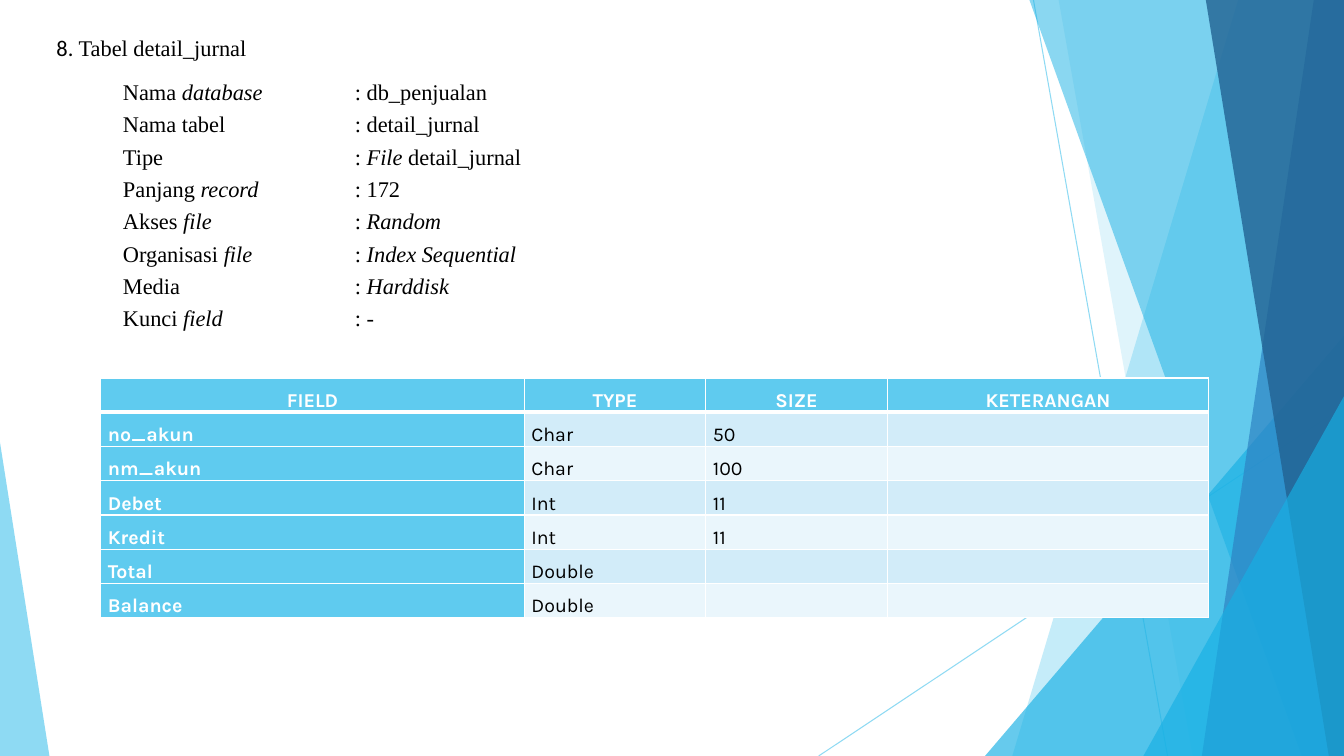
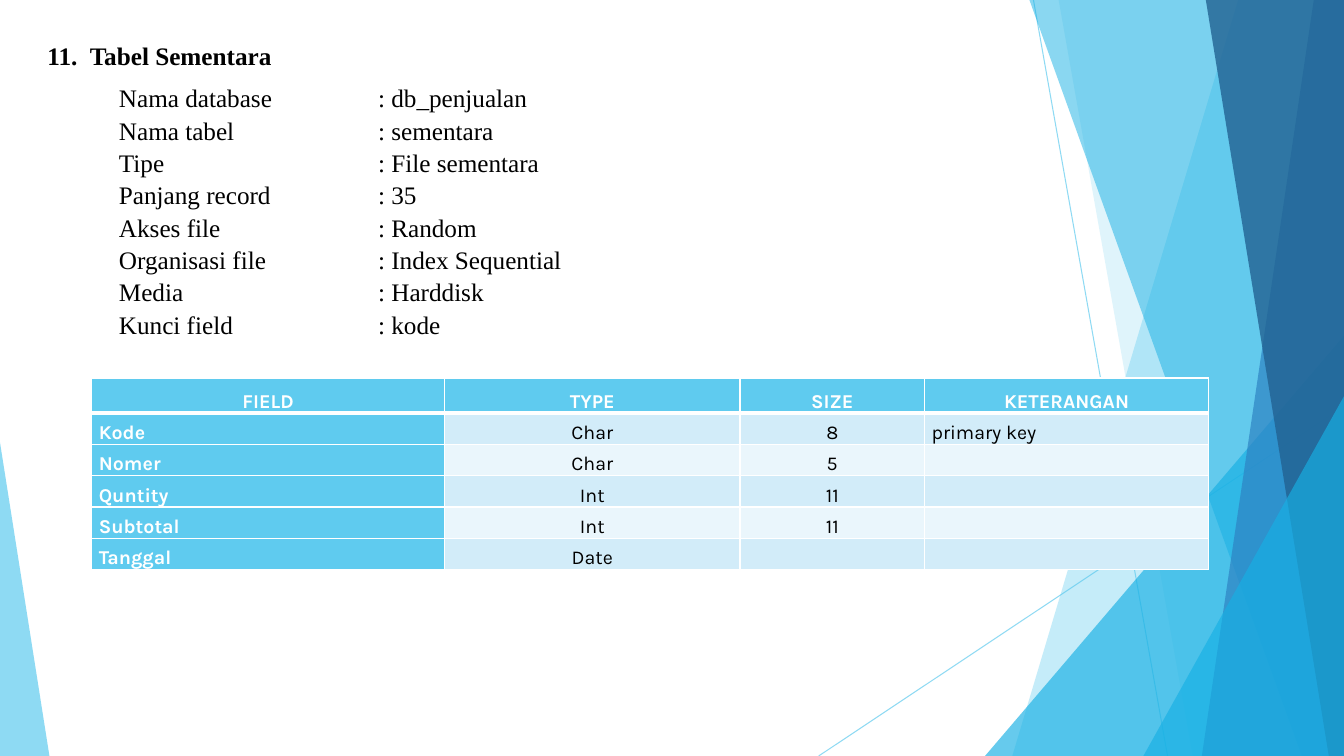
from lxml.etree import SubElement
from pptx import Presentation
from pptx.dml.color import RGBColor
from pptx.enum.shapes import MSO_CONNECTOR, MSO_SHAPE
from pptx.enum.text import MSO_ANCHOR, MSO_AUTO_SIZE, PP_ALIGN
from pptx.oxml import parse_xml
from pptx.oxml.ns import nsdecls, qn
from pptx.util import Inches, Pt

SKY = RGBColor(0x5F, 0xCB, 0xEF)
CYAN = RGBColor(0x17, 0xB0, 0xE4)
BLUE = RGBColor(0x2E, 0x83, 0xC3)
NAVY = RGBColor(0x22, 0x62, 0x92)
ODD = RGBColor(0xD2, 0xEC, 0xF9)
EVEN = RGBColor(0xEA, 0xF6, 0xFC)
WHITE = RGBColor(0xFF, 0xFF, 0xFF)
BLACK = RGBColor(0, 0, 0)
SERIF, SANS, PLAIN = "Times New Roman", "Karla", "Calibri"
WIDE, HIGH = 13.33, 7.5
HEAD = ("FIELD", "TYPE", "SIZE", "KETERANGAN")


class Deck:
    """Holds the shared style and the current slide."""

    def __init__(self):
        self.prs = Presentation()
        self.prs.slide_width = Inches(WIDE)
        self.prs.slide_height = Inches(HIGH)
        self.slide = None

    def page(self):
        self.slide = self.prs.slides.add_slide(self.prs.slide_layouts[5])

    def fade(self, shape, alpha):
        for tint in shape.element.xpath(".//a:srgbClr"):
            SubElement(tint, qn("a:alpha"), val=str(alpha * 1000))

    def paint(self, shape, color, alpha):
        shape.shadow.inherit = False
        shape.fill.solid()
        shape.fill.fore_color.rgb = color
        shape.line.fill.background()
        self.fade(shape, alpha)
        return shape

    def ray(self, x1, y1, x2, y2):
        ray = self.slide.shapes.add_connector(
            MSO_CONNECTOR.STRAIGHT, Inches(x1), Inches(y1), Inches(x2), Inches(y2))
        ray.line.color.rgb = SKY
        ray.line.width = Pt(0.75)
        self.fade(ray, 70)
        SubElement(ray.element.spPr, qn("a:effectLst"))
        return ray

    def facet(self, top, foot, color, alpha):
        pen = self.slide.shapes.build_freeform(Inches(top), 0)
        edge = ((WIDE, 0), (WIDE, HIGH), (foot, HIGH))
        pen.add_line_segments([(Inches(x), Inches(y)) for x, y in edge])
        return self.paint(pen.convert_to_shape(), color, alpha)

    def wedge(self, x, y, width, peak, color, alpha):
        wedge = self.slide.shapes.add_shape(
            MSO_SHAPE.ISOSCELES_TRIANGLE, Inches(x), Inches(y), Inches(width), Inches(HIGH - y))
        wedge.adjustments[0] = peak
        return self.paint(wedge, color, alpha)

    def decor(self):
        parts = (
            self.ray(10.25, 0, 11.58, HIGH),
            self.ray(WIDE, 4.03, 8.12, HIGH),
            self.facet(12.28, 10.04, SKY, 36),
            self.facet(10.5, 11.83, SKY, 20),
            self.wedge(9.77, 3.33, 3.56, 1, CYAN, 66),
            self.facet(10.21, 12.91, CYAN, 50),
            self.facet(13.03, 11.92, BLUE, 70),
            self.facet(11.96, 13.18, NAVY, 80),
            self.wedge(11.34, 3.93, 1.99, 1, CYAN, 66),
            self.wedge(0, 4.39, 0.49, 0, SKY, 70),
        )
        tree = self.prs.slide_master.shapes.element
        for spot, part in enumerate(parts):
            part.element.xpath(".//p:cNvPr")[0].set("id", str(100 + spot))
            tree.insert(2 + spot, part.element)

    def text(self, para, words, size, font=SERIF, color=BLACK, bold=False, slant=False):
        run = para.add_run()
        run.text = words
        run.font.size = Pt(size)
        run.font.name = font
        run.font.color.rgb = color
        run.font.bold = bold
        run.font.italic = slant

    def stop(self, para, tab):
        stops = SubElement(para._p.get_or_add_pPr(), qn("a:tabLst"))
        SubElement(stops, qn("a:tab"), pos=str(Inches(tab)), algn="l")

    def frame(self, shape, x, y, width, height):
        shape.left, shape.top = Inches(x), Inches(y)
        shape.width, shape.height = Inches(width), Inches(height)
        frame = shape.text_frame
        frame.word_wrap = True
        frame.auto_size = MSO_AUTO_SIZE.NONE
        frame.vertical_anchor = MSO_ANCHOR.TOP
        frame.margin_left = frame.margin_right = frame.margin_top = frame.margin_bottom = 0
        return frame

    def title(self, x, y, tab, size, mark, name, font=SERIF, bold=False):
        para = self.frame(self.slide.shapes.title, x, y, 6.5, 0.4).paragraphs[0]
        para.alignment = PP_ALIGN.LEFT
        para.line_spacing = 1.07
        self.stop(para, tab)
        self.text(para, mark + "\t", size, font, bold=bold)
        self.text(para, name, size, bold=bold)

    def facts(self, x, y, tab, size, lines):
        box = self.slide.shapes.add_textbox(0, 0, 0, 0)
        frame = self.frame(box, x, y, 5.8, 2.6)
        for spot, line in enumerate(lines):
            para = frame.add_paragraph() if spot else frame.paragraphs[0]
            para.line_spacing = Pt(23.1)
            self.stop(para, tab)
            for turn, words in enumerate(line):
                self.text(para, words, size, slant=turn % 2 == 1)

    def rule(self, cell, top, foot):
        sides = (("L", 1), ("R", 1), ("T", top), ("B", foot))
        for spot, (side, width) in enumerate(sides):
            cell._tc.get_or_add_tcPr().insert(spot, parse_xml(
                f'<a:ln{side} {nsdecls("a")} w="{Pt(width)}"><a:solidFill>'
                f'<a:srgbClr val="{WHITE}"/></a:solidFill></a:ln{side}>'))

    def cell(self, cell, words, row, col, mid):
        lead = row == 0 or col == 0
        cell.fill.solid()
        cell.fill.fore_color.rgb = SKY if lead else ODD if row % 2 else EVEN
        self.rule(cell, 3 if row == 1 else 1, 1 if row else 3)
        cell.margin_left = cell.margin_right = Inches(0.07)
        cell.margin_top = cell.margin_bottom = 0
        cell.vertical_anchor = MSO_ANCHOR.BOTTOM
        para = cell.text_frame.paragraphs[0]
        para.line_spacing = 1.07
        if row == 0 or mid and col in (1, 2):
            para.alignment = PP_ALIGN.CENTER
        if words:
            self.text(para, words, 14, SANS, WHITE if lead else BLACK, lead)

    def table(self, x, cols, top, step, rows, mid=False):
        rows = (HEAD, *rows)
        high = top + step * (len(rows) - 1)
        grid = self.slide.shapes.add_table(
            len(rows), len(cols), Inches(x), Inches(3.75), Inches(sum(cols)), Inches(high)).table
        for col, width in zip(grid.columns, cols):
            col.width = Inches(width)
        for r, row in enumerate(rows):
            grid.rows[r].height = Inches(step if r else top)
            for c, words in enumerate(row):
                self.cell(grid.cell(r, c), words, r, c, mid)


def main():
    deck = Deck()
    deck.page()
    deck.decor()
    deck.title(0.56, 0.32, 0.22, 16, "8.", "Tabel detail_jurnal", PLAIN)
    deck.facts(1.22, 0.72, 2.3, 16, (
        ("Nama ", "database", "\t: db_penjualan"),
        ("Nama tabel\t: detail_jurnal",),
        ("Tipe\t: ", "File", " detail_jurnal"),
        ("Panjang ", "record", "\t: 172"),
        ("Akses ", "file", "\t: ", "Random"),
        ("Organisasi ", "file", "\t: ", "Index Sequential"),
        ("Media\t: ", "Harddisk"),
        ("Kunci ", "field", "\t: -"),
    ))
    deck.table(1, (4.2, 1.8, 1.8, 3.19), 0.34, 0.34, (
        ("no_akun", "Char", "50", ""),
        ("nm_akun", "Char", "100", ""),
        ("Debet", "Int", "11", ""),
        ("Kredit", "Int", "11", ""),
        ("Total", "Double", "", ""),
        ("Balance", "Double", "", ""),
    ))

    deck.page()
    deck.title(0.47, 0.38, 0.42, 18, "11.", "Tabel Sementara", bold=True)
    deck.facts(1.18, 0.8, 2.57, 18, (
        ("Nama database\t: db_penjualan",),
        ("Nama tabel\t: sementara",),
        ("Tipe\t: File sementara",),
        ("Panjang record\t: 35",),
        ("Akses file\t: Random",),
        ("Organisasi file\t: Index Sequential",),
        ("Media\t: Harddisk",),
        ("Kunci field\t: kode",),
    ))
    deck.table(0.91, (3.5, 2.93, 1.83, 2.82), 0.35, 0.31, (
        ("Kode", "Char", "8", "primary key"),
        ("Nomer", "Char", "5", ""),
        ("Quntity", "Int", "11", ""),
        ("Subtotal", "Int", "11", ""),
        ("Tanggal", "Date", "", ""),
    ), mid=True)
    deck.prs.save("out.pptx")


if __name__ == "__main__":
    main()
